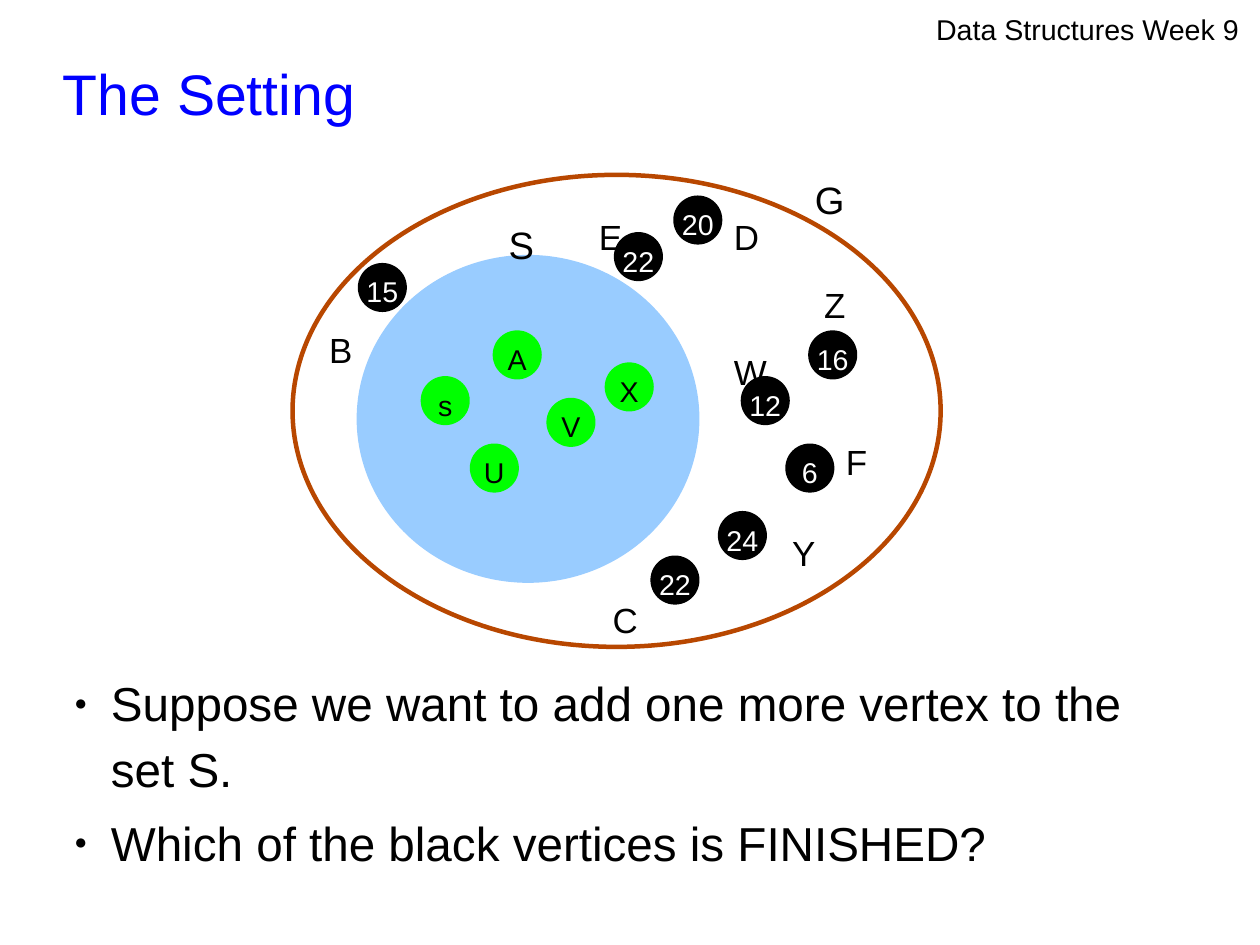
from dataclasses import dataclass

import pptx
import pptx.dml.color
import pptx.enum.shapes
import pptx.enum.text
import pptx.util
from lxml import etree
from pptx.oxml.ns import qn

Inches = pptx.util.Inches
Points = pptx.util.Pt
Align = pptx.enum.text.PP_ALIGN
Anchor = pptx.enum.text.MSO_ANCHOR

COLORS = {
    "black": "000000",
    "white": "FFFFFF",
    "title": "0000FF",
    "set": "99CCFF",
    "graph": "B84700",
    "finished": "00FF00",
}
FONT = "Arial"
CM_PER_INCH = 2.54
SLIDE_WIDTH = 28 / CM_PER_INCH
SLIDE_HEIGHT = 21 / CM_PER_INCH
VERTEX_SIZE = 0.39
LINE_WIDTH = 2.83
PADDING = (0.12, 0.07)
NO_PADDING = (0, 0)


@dataclass
class Vertex:
    text: str
    left: float
    top: float
    fill: str = "black"
    color: str = "white"


@dataclass
class Label:
    text: str
    left: float
    top: float
    width: float = 0.47
    height: float = 0.59
    size: int = 22
    color: str = "black"
    spacing: float = 1.24
    padding: tuple[float, float] = PADDING
    anchor: Anchor = Anchor.TOP


HEADER = Label("Data Structures Week 9", 8.19, 0.1, 2.7, 0.32, 18,
               spacing=1, padding=NO_PADDING)
TITLE = Label("The Setting", 0.55, 0.33, 9.89, 0.82, 36, "title",
              padding=NO_PADDING, anchor=Anchor.MIDDLE)

VERTICES = [
    Vertex("12", 6.5, 3.31),
    Vertex("6", 6.89, 3.9),
    Vertex("16", 7.09, 2.91),
    Vertex("15", 3.15, 2.32),
    Vertex("22", 5.39, 2.05),
    Vertex("22", 5.71, 4.88),
    Vertex("20", 5.91, 1.73),
    Vertex("24", 6.3, 4.49),
] + [
    Vertex(name, left, top, "finished", "black")
    for name, left, top in [
        ("s", 3.7, 3.31),
        ("U", 4.13, 3.9),
        ("A", 4.33, 2.91),
        ("V", 4.8, 3.5),
        ("X", 5.31, 3.19),
    ]
]

LABELS = [
    Label("S", 4.33, 1.77, 0.59, 0.63, 24),
    Label("G", 7.01, 1.38, 0.59, 0.63, 24),
    Label("B", 2.76, 2.72, 0.59),
    Label("C", 5.24, 5.08),
    Label("E", 5.12, 1.73, height=0.79),
    Label("D", 6.3, 1.73),
    Label("Z", 7.09, 2.32, 0.59),
    Label("Y", 6.81, 4.49),
    Label("F", 7.28, 3.7),
    Label("W", 6.3, 2.91, 0.67),
]

BULLETS = [
    "Suppose we want to add one more vertex to the set S.",
    "Which of the black vertices is FINISHED?",
]


def rgb(name: str) -> pptx.dml.color.RGBColor:
    return pptx.dml.color.RGBColor.from_string(COLORS[name])


def set_frame(frame, padding: tuple[float, float], anchor: Anchor, wrap: bool = True) -> None:
    frame.margin_left = frame.margin_right = Inches(padding[0])
    frame.margin_top = frame.margin_bottom = Inches(padding[1])
    frame.vertical_anchor = anchor
    frame.word_wrap = wrap


def add_run(paragraph, text: str, size: int, color: str, spacing: float) -> None:
    paragraph.line_spacing = spacing
    run = paragraph.add_run()
    run.text = text
    run.font.name = FONT
    run.font.size = Points(size)
    run.font.color.rgb = rgb(color)


def add_label(slide, label: Label) -> None:
    box = slide.shapes.add_textbox(Inches(label.left), Inches(label.top),
                                   Inches(label.width), Inches(label.height))
    set_frame(box.text_frame, label.padding, label.anchor)
    add_run(box.text_frame.paragraphs[0], label.text, label.size, label.color, label.spacing)


def add_ellipse(slide, left: float, top: float, width: float, height: float,
                line: str, fill: str | None = None):
    shape = slide.shapes.add_shape(pptx.enum.shapes.MSO_SHAPE.OVAL, Inches(left),
                                   Inches(top), Inches(width), Inches(height))
    shape.shadow.inherit = False
    if fill:
        shape.fill.solid()
        shape.fill.fore_color.rgb = rgb(fill)
    else:
        shape.fill.background()
    shape.line.color.rgb = rgb(line)
    shape.line.width = Points(LINE_WIDTH)
    return shape


def add_vertex(slide, vertex: Vertex) -> None:
    shape = add_ellipse(slide, vertex.left, vertex.top, VERTEX_SIZE, VERTEX_SIZE,
                        vertex.fill, vertex.fill)
    set_frame(shape.text_frame, PADDING, Anchor.MIDDLE, wrap=False)
    paragraph = shape.text_frame.paragraphs[0]
    paragraph.alignment = Align.CENTER
    add_run(paragraph, vertex.text, 18, vertex.color, 1.24)


def set_bullet(paragraph) -> None:
    """Give the paragraph a small round bullet and a hanging indent."""
    properties = paragraph._p.get_or_add_pPr()
    properties.set("marL", str(Inches(0.42)))
    properties.set("indent", str(Inches(-0.32)))
    color = etree.SubElement(properties, qn("a:buClr"))
    etree.SubElement(color, qn("a:srgbClr"), val=COLORS["black"])
    etree.SubElement(properties, qn("a:buSzPct"), val="45000")
    etree.SubElement(properties, qn("a:buFont"), typeface=FONT)
    etree.SubElement(properties, qn("a:buChar"), char="●")


def add_bullets(slide, texts: list[str]) -> None:
    box = slide.shapes.add_textbox(Inches(0.55), Inches(5.83), Inches(9.89), Inches(1.94))
    frame = box.text_frame
    set_frame(frame, NO_PADDING, Anchor.TOP)
    for index, text in enumerate(texts):
        paragraph = frame.add_paragraph() if index else frame.paragraphs[0]
        add_run(paragraph, text, 30, "black", 1.14)
        paragraph.space_after = Points(5.8)
        set_bullet(paragraph)


def main() -> None:
    presentation = pptx.Presentation()
    presentation.slide_width = Inches(SLIDE_WIDTH)
    presentation.slide_height = Inches(SLIDE_HEIGHT)
    slide = presentation.slides.add_slide(presentation.slide_layouts[6])

    add_label(slide, HEADER)
    add_label(slide, TITLE)
    add_ellipse(slide, 3.14, 2.25, 2.96, 2.83, "set", "set")
    add_ellipse(slide, 2.56, 1.53, 5.67, 4.13, "graph")
    for vertex in VERTICES:
        add_vertex(slide, vertex)
    for label in LABELS:
        add_label(slide, label)
    add_bullets(slide, BULLETS)

    presentation.save("out.pptx")


if __name__ == "__main__":
    main()
